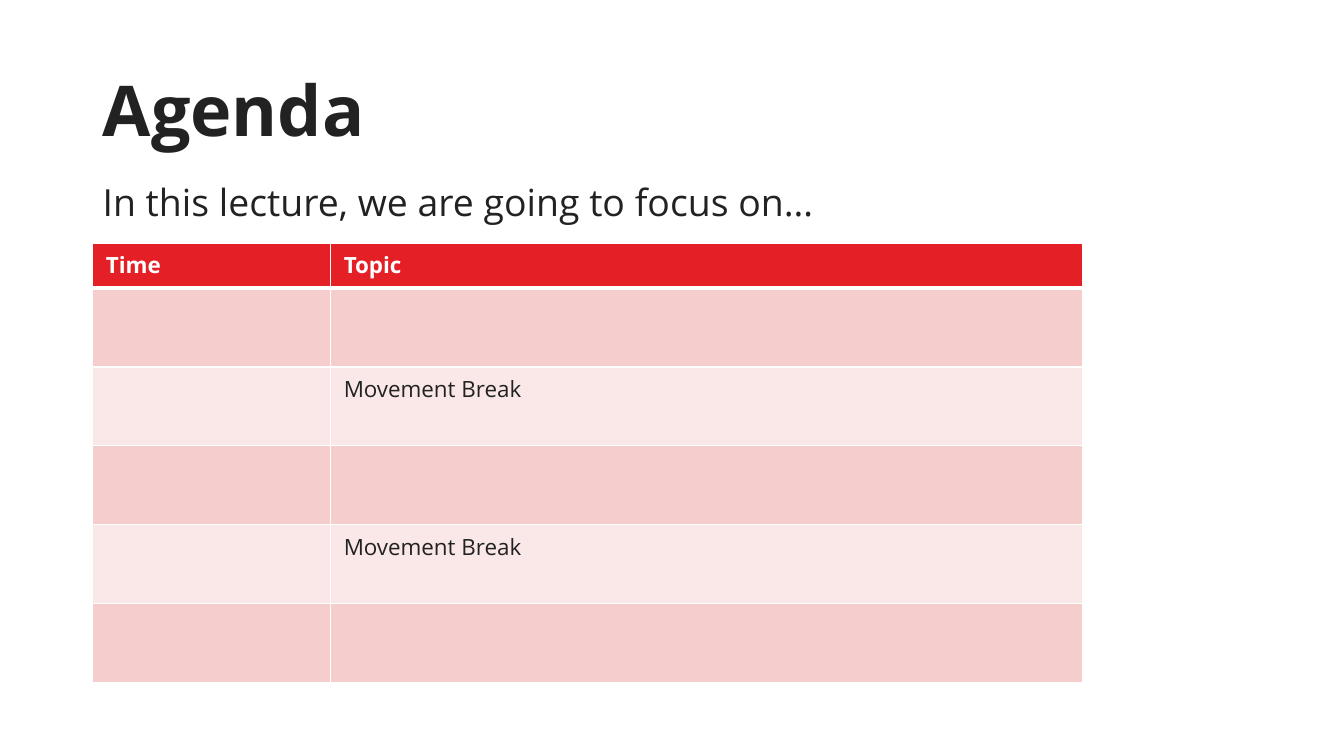
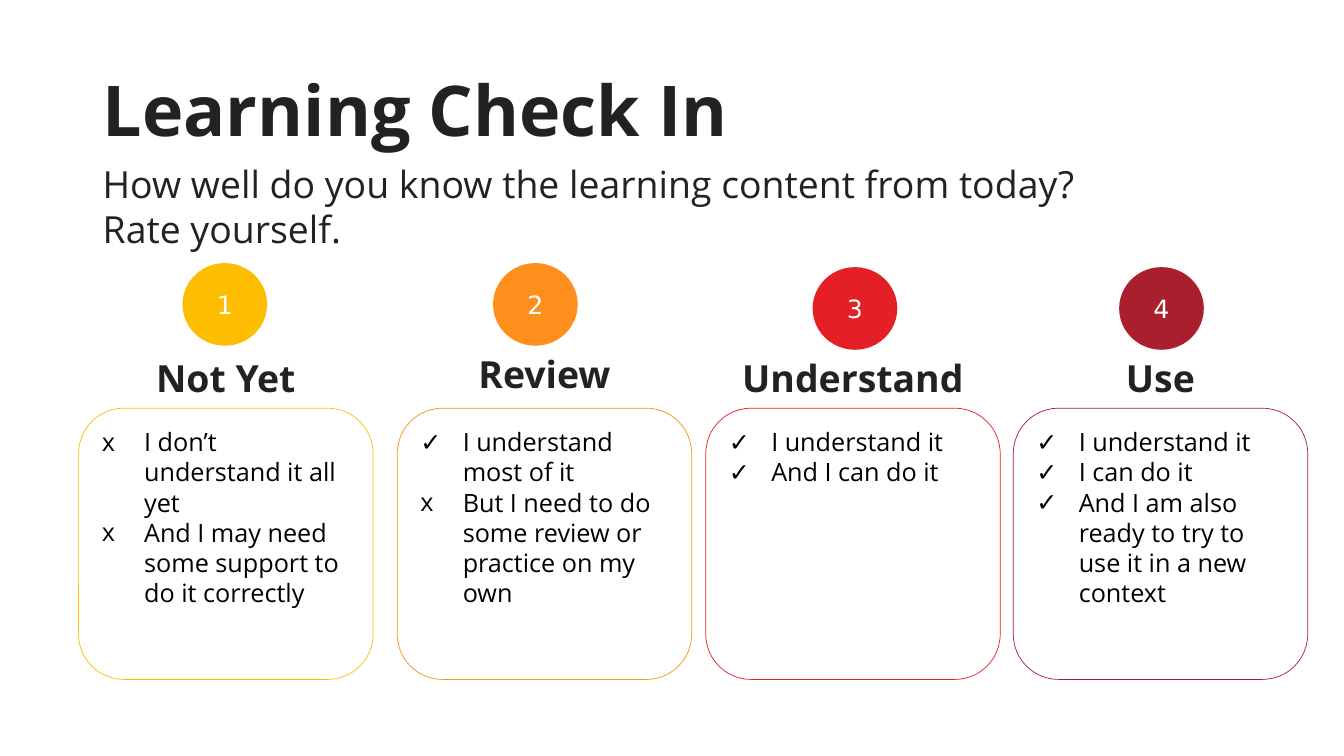
from lxml import etree
from pptx import Presentation
from pptx import util as u
from pptx.dml.color import RGBColor
from pptx.enum import shapes, text
from pptx.oxml import ns

FONT, DIGIT_FONT = "Open Sans", "DejaVu Sans"
INK, BLACK, WHITE = "222222", "000000", "FFFFFF"
YELLOW, ORANGE, RED, CRIMSON = "FFBD00", "FF8F1C", "E41F26", "AA1F2E"
BANDS = ("F5CDCD", "FAE8E8")
MARGIN = 0.92
CENTER = text.PP_ALIGN.CENTER
CROSS, CHECK = "x", "✓"


def rgb(color):
    return RGBColor.from_string(color)


def add_run(p, words, size, color=INK, bold=False, font=FONT):
    r = p.add_run()
    r.text = words
    r.font.size = u.Pt(size)
    r.font.name = font
    r.font.bold = bold
    r.font.color.rgb = rgb(color)


def next_paragraph(tf, index):
    return tf.paragraphs[0] if index == 0 else tf.add_paragraph()


def inches(*box):
    return [u.Inches(v) for v in box]


def new_slide(prs, title):
    """Slide with the shared title style."""
    s = prs.slides.add_slide(prs.slide_layouts[5])
    sp = s.shapes.title
    sp.left, sp.top, sp.width, sp.height = inches(MARGIN, 0.4, 11.5, 1.45)
    tf = sp.text_frame
    tf.word_wrap = True
    tf.auto_size = text.MSO_AUTO_SIZE.NONE
    tf.vertical_anchor = text.MSO_ANCHOR.MIDDLE
    p = tf.paragraphs[0]
    p.alignment = text.PP_ALIGN.LEFT
    p.line_spacing = 0.9
    add_run(p, title, 50, bold=True)
    return s


def add_text(s, box, lines, bold=False, align=text.PP_ALIGN.LEFT):
    """Subtitle or heading text."""
    tf = s.shapes.add_textbox(*inches(*box)).text_frame
    tf.word_wrap = True
    for i, line in enumerate(lines):
        p = next_paragraph(tf, i)
        p.alignment = align
        add_run(p, line, 26.7, bold=bold)


def add_shape(s, kind, box, fill=None, line=None):
    sp = s.shapes.add_shape(kind, *inches(*box))
    sp.shadow.inherit = False
    if fill:
        sp.fill.solid()
        sp.fill.fore_color.rgb = rgb(fill)
    else:
        sp.fill.background()
    if line:
        sp.line.color.rgb = rgb(line)
        sp.line.width = u.Pt(0.5)
    else:
        sp.line.fill.background()
    sp.text_frame.word_wrap = True
    return sp


def set_bullet(p, mark):
    pPr = p._p.get_or_add_pPr()
    pPr.set("marL", str(u.Inches(0.42)))
    pPr.set("indent", str(-u.Inches(0.42)))
    etree.SubElement(pPr, ns.qn("a:buFont"), typeface=FONT)
    etree.SubElement(pPr, ns.qn("a:buChar"), char=mark)


def set_borders(cell, bottom):
    tcPr = cell._tc.get_or_add_tcPr()
    for side, width in (("L", 1), ("R", 1), ("T", 1), ("B", bottom)):
        ln = etree.SubElement(tcPr, ns.qn("a:ln" + side), w=str(u.Pt(width)))
        fill = etree.SubElement(ln, ns.qn("a:solidFill"))
        etree.SubElement(fill, ns.qn("a:srgbClr"), val=WHITE)


def agenda_table(s, box, col_widths, header_height, rows):
    """Header row over banded rows of equal height."""
    table = s.shapes.add_table(len(rows), len(col_widths), *inches(*box)).table
    for col, width in zip(table.columns, col_widths):
        col.width = u.Inches(width)
    row_height = (box[3] - header_height) / (len(rows) - 1)
    for i, words in enumerate(rows):
        header = i == 0
        table.rows[i].height = u.Inches(header_height if header else row_height)
        for j, word in enumerate(words):
            cell = table.cell(i, j)
            cell.margin_left = cell.margin_right = u.Inches(0.13)
            cell.margin_top = cell.margin_bottom = u.Inches(0.07)
            set_borders(cell, 3 if header else 1)
            cell.fill.solid()
            cell.fill.fore_color.rgb = rgb(RED if header else BANDS[(i - 1) % 2])
            if word:
                add_run(cell.text_frame.paragraphs[0], word, 16,
                        WHITE if header else INK, header)


def rating_column(s, box, number, heading, color, items,
                  circle_dx, circle_dy, heading_dy):
    """Numbered circle and heading above an outlined card of bullets."""
    left, top, width, _ = box
    # Card
    card = add_shape(s, shapes.MSO_SHAPE.ROUNDED_RECTANGLE, box, line=color)
    tf = card.text_frame
    tf.vertical_anchor = text.MSO_ANCHOR.TOP
    for i, (mark, words) in enumerate(items):
        p = next_paragraph(tf, i)
        p.alignment = text.PP_ALIGN.LEFT
        set_bullet(p, mark)
        add_run(p, words, 18, BLACK)
    # Heading
    add_text(s, (left, top + heading_dy, width, 0.55), [heading], True, CENTER)
    # Circle
    circle = add_shape(s, shapes.MSO_SHAPE.OVAL,
                       (left + circle_dx, top + circle_dy, 0.84, 0.82), color)
    circle.text_frame.vertical_anchor = text.MSO_ANCHOR.MIDDLE
    p = circle.text_frame.paragraphs[0]
    p.alignment = CENTER
    add_run(p, str(number), 18, WHITE, font=DIGIT_FONT)


def agenda_slide(prs):
    s = new_slide(prs, "Agenda")
    add_text(s, (MARGIN, 1.73, 11.75, 0.55),
             ["In this lecture, we are going to focus on…"])
    blank, pause = ("", ""), ("", "Movement Break")
    agenda_table(s, (MARGIN, 2.41, 9.82, 4.36), (2.36, 7.46), 0.45,
                 [("Time", "Topic"), blank, pause, blank, pause, blank])


def check_in_slide(prs):
    s = new_slide(prs, "Learning Check In")
    add_text(s, (MARGIN, 1.55, 11.96, 1),
             ["How well do you know the learning content from today?",
              "Rate yourself."])
    # Left, heading, colour, bullets, then circle and heading offsets
    columns = [
        (0.78, "Not Yet", YELLOW,
         [(CROSS, "I don’t understand it all yet"),
          (CROSS, "And I may need some support to do it correctly")],
         1.03, -1.44, -0.58),
        (3.94, "Review", ORANGE,
         [(CHECK, "I understand most of it"),
          (CROSS, "But I need to do some review or practice on my own")],
         0.95, -1.44, -0.62),
        (7, "Understand", RED,
         [(CHECK, "I understand it"), (CHECK, "And I can do it")],
         1.06, -1.4, -0.58),
        (10.05, "Use", CRIMSON,
         [(CHECK, "I understand it"), (CHECK, "I can do it"),
          (CHECK, "And I am also ready to try to use it in a new context")],
         1.05, -1.4, -0.58),
    ]
    for number, (left, *parts) in enumerate(columns, 1):
        rating_column(s, (left, 4.05, 2.92, 2.69), number, *parts)


def main():
    prs = Presentation()
    prs.slide_width, prs.slide_height = inches(13.33, 7.5)
    agenda_slide(prs)
    check_in_slide(prs)
    prs.save("out.pptx")


if __name__ == "__main__":
    main()
